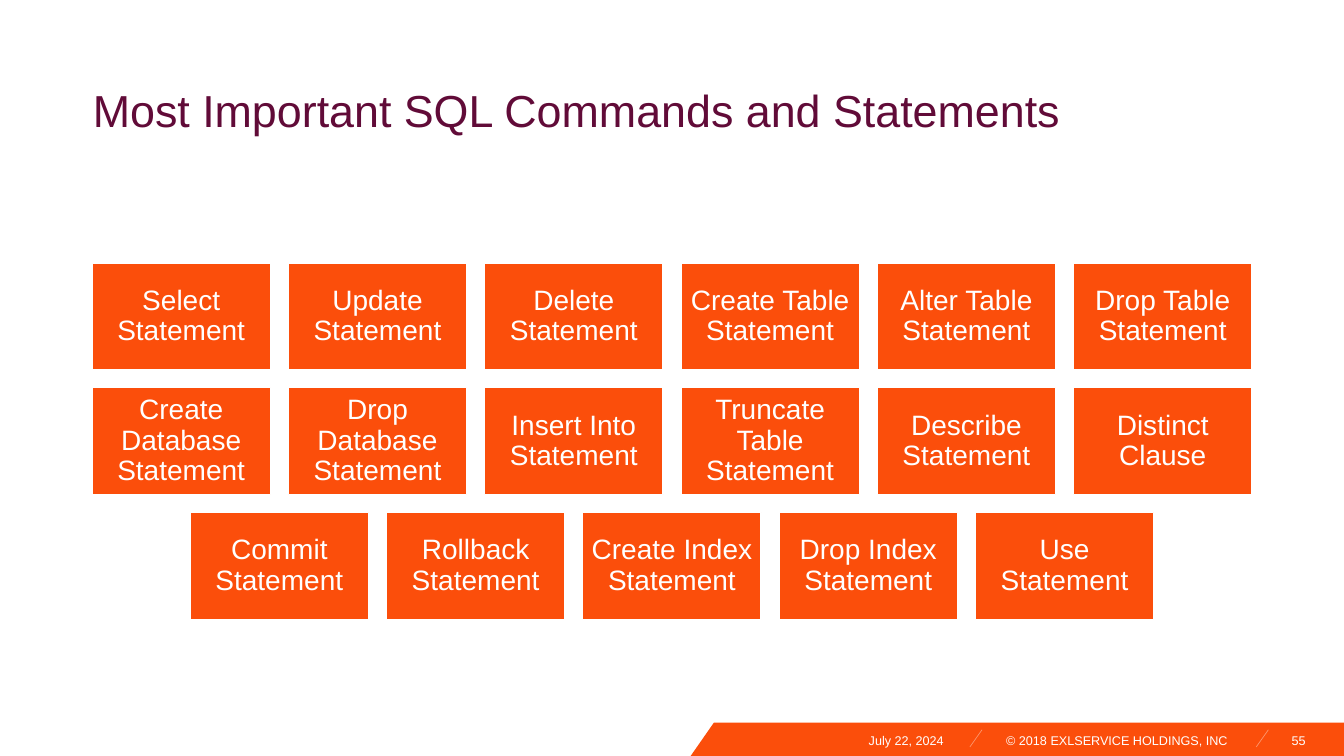
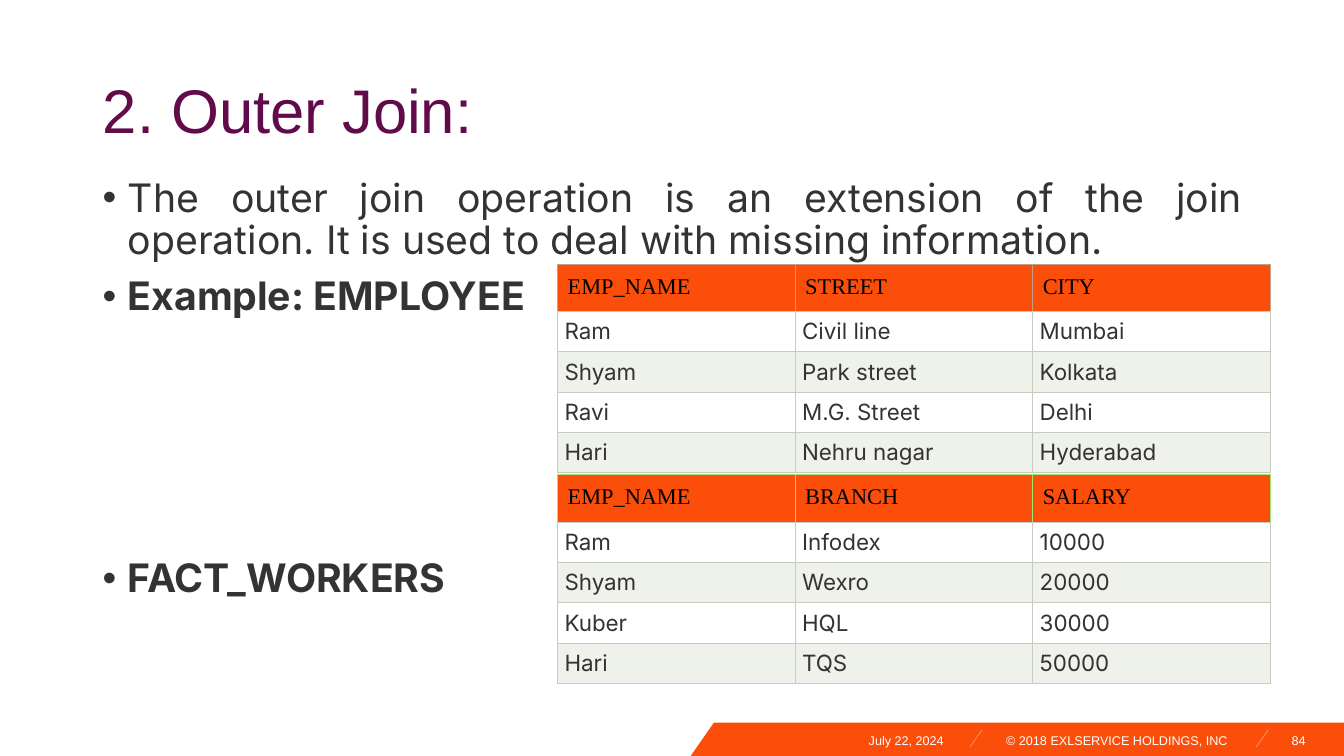
from lxml import etree
from pptx import Presentation
from pptx.dml.color import RGBColor
from pptx.enum.shapes import MSO_CONNECTOR as Connector, MSO_SHAPE as Preset
from pptx.enum.text import MSO_ANCHOR as Anchor, MSO_AUTO_SIZE as AutoSize, PP_ALIGN as Align
from pptx.oxml.ns import qn
from pptx.util import Inches, Pt

SLIDE_W, SLIDE_H = 13.33, 7.5
MARGIN, CONTENT_W = 0.92, 11.5
ORANGE, PALE_ORANGE, WHITE = "FB4E0B", "FC946B", "FFFFFF"
PLUM, VIOLET, GREY, BLACK = "610B38", "610B4B", "333333", "000000"
STRIPE, RULE, TAN, GREEN = "EFF1EB", "C7CCBE", "C0A181", "A0E278"
SANS, BODY, SERIF = "Arial", "Inter", "Times New Roman"


def rgb(color):
    return RGBColor.from_string(color)


def box(*lengths):
    return [Inches(length) for length in lengths]


def write(frame, text, size=20, font=SANS, color=WHITE, bold=False, align=Align.LEFT,
          anchor=Anchor.TOP, inset=(0, 0), spacing=1.0, before=0, bullet=False, append=False):
    """Put one formatted paragraph into a text frame; inset is (sides, top and bottom)."""
    frame.word_wrap = True
    frame.auto_size = AutoSize.NONE
    frame.vertical_anchor = anchor
    frame.margin_left = frame.margin_right = Inches(inset[0])
    frame.margin_top = frame.margin_bottom = Inches(inset[1])
    paragraph = frame.add_paragraph() if append else frame.paragraphs[0]
    if bullet:
        properties = paragraph._p.get_or_add_pPr()
        properties.set("marL", str(Inches(0.25)))
        properties.set("indent", str(-Inches(0.25)))
        etree.SubElement(properties, qn("a:buFont"), typeface=SANS)
        etree.SubElement(properties, qn("a:buChar"), char="•")
    paragraph.alignment = align
    paragraph.line_spacing = spacing
    paragraph.space_before = Pt(before)
    run = paragraph.add_run()
    run.text = text
    run.font.size, run.font.name, run.font.bold = Pt(size), font, bold
    run.font.color.rgb = rgb(color)


def border(cell, **sides):
    """Draw the cell's sides, given as L, R, T, B in that order."""
    properties = cell._tc.get_or_add_tcPr()
    for side, color in sides.items():
        line = etree.SubElement(properties, qn(f"a:ln{side}"), w=str(Pt(0.6)))
        fill = etree.SubElement(line, qn("a:solidFill"))
        etree.SubElement(fill, qn("a:srgbClr"), val=color)


class Deck:
    def __init__(self):
        self.show = Presentation()
        self.show.slide_width, self.show.slide_height = box(SLIDE_W, SLIDE_H)
        self.slide = None

    def new_slide(self, title, page, **title_style):
        self.slide = self.show.slides.add_slide(self.show.slide_layouts[5])
        self.footer(page)
        heading = self.slide.shapes.title
        heading.left, heading.top, heading.width, heading.height = box(MARGIN, 0.4, CONTENT_W, 1.45)
        write(heading.text_frame, title, anchor=Anchor.MIDDLE, spacing=0.9, **title_style)

    def text(self, place, text, **style):
        frame = self.slide.shapes.add_textbox(*box(*place)).text_frame
        write(frame, text, **style)
        return frame

    def line(self, start, end):
        rule = self.slide.shapes.add_connector(Connector.STRAIGHT, *box(*start, *end))
        rule.line.color.rgb = rgb(PALE_ORANGE)
        rule.line.width = Pt(0.5)
        etree.SubElement(rule._element.spPr, qn("a:effectLst"))

    def footer(self, page):
        top = 7.17
        outline = self.slide.shapes.build_freeform(*box(7.08, top), scale=1.0)
        corners = [(SLIDE_W, top), (SLIDE_W, SLIDE_H), (6.85, SLIDE_H)]
        outline.add_line_segments([box(*corner) for corner in corners], close=True)
        band = outline.convert_to_shape()
        band.shadow.inherit = False
        band.fill.solid()
        band.fill.fore_color.rgb = rgb(ORANGE)
        band.line.fill.background()
        for right in (9.74, 12.58):
            self.line((right, 7.24), (right - 0.12, 7.41))
        for left, width, text, align in (
            (7.09, 2.27, "July 22, 2024", Align.RIGHT),
            (12.58, 0.37, str(page), Align.RIGHT),
            (9.98, 2.27, "© 2018 EXLSERVICE HOLDINGS, INC", Align.LEFT),
        ):
            self.text((left, 7.27, width, 0.15), text, size=9, align=align)

    def card(self, place, text):
        card = self.slide.shapes.add_shape(Preset.RECTANGLE, *box(*place))
        card.shadow.inherit = False
        card.fill.solid()
        card.fill.fore_color.rgb = rgb(ORANGE)
        card.line.color.rgb = rgb(WHITE)
        card.line.width = Pt(1)
        write(card.text_frame, text, align=Align.CENTER, anchor=Anchor.MIDDLE,
              inset=(0.08, 0.08), spacing=0.9)

    def table(self, left, top, width, rows, head_rule):
        head_h, row_h = 0.47, 0.4
        height = head_h + row_h * (len(rows) - 1)
        grid = self.slide.shapes.add_table(
            len(rows), len(rows[0]), *box(left, top, width, height)).table
        for r, values in enumerate(rows):
            head = r == 0
            grid.rows[r].height = Inches(head_h if head else row_h)
            for c, value in enumerate(values):
                cell = grid.cell(r, c)
                edge = head_rule if head else RULE
                border(cell, L=edge, R=edge, T=edge, B=RULE)
                cell.fill.solid()
                cell.fill.fore_color.rgb = rgb(ORANGE if head else WHITE if r % 2 else STRIPE)
                self.cell_text(cell, value, head)

    def cell_text(self, cell, value, head):
        side, edge = (0.1, 0.1) if head else (0.07, 0.06)
        cell.margin_left = cell.margin_right = Inches(side)
        cell.margin_top = cell.margin_bottom = Inches(edge)
        cell.vertical_anchor = Anchor.TOP if head else Anchor.MIDDLE
        paragraph = cell.text_frame.paragraphs[0]
        paragraph.alignment = Align.LEFT if head else Align.JUSTIFY
        run = paragraph.add_run()
        run.text = value
        run.font.size, run.font.name, run.font.bold = Pt(16), SERIF if head else BODY, False
        run.font.color.rgb = rgb(BLACK if head else GREY)


def commands_slide(deck):
    deck.new_slide("Most Important SQL Commands and Statements", 55, size=32, color=PLUM)
    # Rows of cards, each centred on the slide
    card_w, card_h = 1.77, 1.06
    gap = card_w / 10
    command_rows = [
        ["Select Statement", "Update Statement", "Delete Statement",
         "Create Table Statement", "Alter Table Statement", "Drop Table Statement"],
        ["Create Database Statement", "Drop Database Statement", "Insert Into Statement",
         "Truncate Table Statement", "Describe Statement", "Distinct Clause"],
        ["Commit Statement", "Rollback Statement", "Create Index Statement",
         "Drop Index Statement", "Use Statement"],
    ]
    for r, commands in enumerate(command_rows):
        row_w = len(commands) * (card_w + gap) - gap
        left, top = (SLIDE_W - row_w) / 2, 2.61 + r * (card_h + gap)
        for c, command in enumerate(commands):
            deck.card((left + c * (card_w + gap), top, card_w, card_h), command)


def outer_join_slide(deck):
    deck.new_slide("2. Outer Join:", 84, size=44, color=VIOLET, inset=(0.1, 0.05))
    # Explanation and table captions
    style = dict(size=28, font=BODY, color=GREY, align=Align.JUSTIFY, inset=(0.1, 0.05),
                 spacing=0.9, bullet=True)
    points = deck.text(
        (MARGIN, 1.72, CONTENT_W, 5.03),
        "The outer join operation is an extension of the join operation. "
        "It is used to deal with missing information.", **style)
    for caption, before in (("Example: EMPLOYEE", 10), ("FACT_WORKERS", 171)):
        write(points, caption, bold=True, before=before, append=True, **style)
    # Employee and worker tables
    employees = [
        ("EMP_NAME", "STREET", "CITY"),
        ("Ram", "Civil line", "Mumbai"),
        ("Shyam", "Park street", "Kolkata"),
        ("Ravi", "M.G. Street", "Delhi"),
        ("Hari", "Nehru nagar", "Hyderabad"),
    ]
    workers = [
        ("EMP_NAME", "BRANCH", "SALARY"),
        ("Ram", "Infodex", "10000"),
        ("Shyam", "Wexro", "20000"),
        ("Kuber", "HQL", "30000"),
        ("Hari", "TQS", "50000"),
    ]
    for top, rows, head_rule in ((2.62, employees, TAN), (4.71, workers, GREEN)):
        deck.table(5.53, top, 7.07, rows, head_rule)


def main():
    deck = Deck()
    commands_slide(deck)
    outer_join_slide(deck)
    deck.show.save("out.pptx")


if __name__ == "__main__":
    main()
